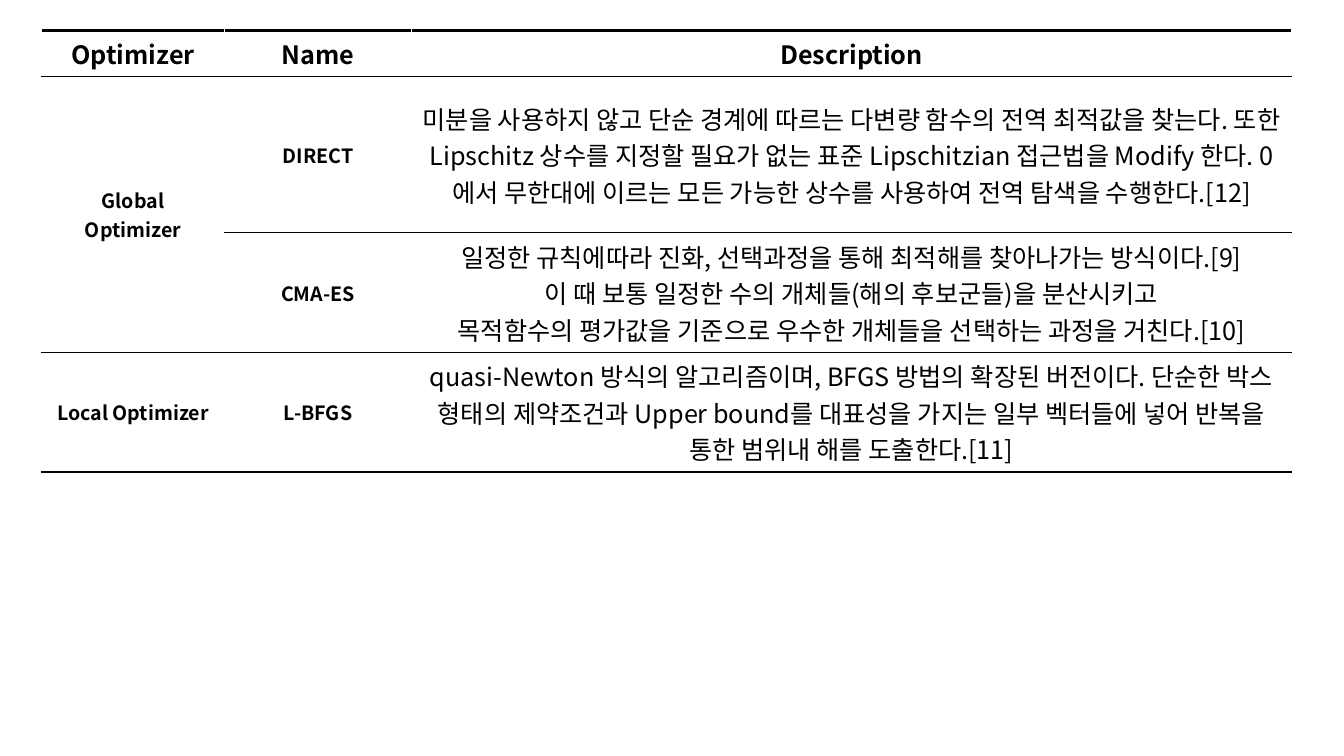
import pptx
import pptx.util
import pptx.dml.color
import pptx.enum.text
import pptx.oxml
import pptx.oxml.ns
import lxml.etree

HEADS = ["Optimizer", "Name", "Description"]
ROWS = [
    ("Global Optimizer", "DIRECT", [
        "미분을 사용하지 않고 단순 경계에 따르는 다변량 함수의 전역 최적값을 찾는다. "
        "또한 Lipschitz 상수를 지정할 필요가 없는 표준 Lipschitzian 접근법을 "
        "Modify 한다. 0에서 무한대에 이르는 모든 가능한 상수를 사용하여 "
        "전역 탐색을 수행한다.[12]"]),
    ("", "CMA-ES", [
        "일정한 규칙에따라 진화, 선택과정을 통해 최적해를 찾아나가는 방식이다.[9]",
        "이 때 보통 일정한 수의 개체들(해의 후보군들)을 분산시키고",
        "목적함수의 평가값을 기준으로 우수한 개체들을 선택하는 과정을 거친다.[10]"]),
    ("Local Optimizer", "L-BFGS", [
        "quasi-Newton 방식의 알고리즘이며, BFGS 방법의 확장된 버전이다. "
        "단순한 박스 형태의 제약조건과 Upper bound를 대표성을 가지는 일부 "
        "벡터들에 넣어 반복을 통한 범위내 해를 도출한다.[11]"]),
]
WIDTHS = [1.82, 1.85, 8.73]
HEIGHTS = [0.41, 0.41, 0.44, 0.41]
COLORS = {"ink": "000000", "paper": "FFFFFF"}
FONT = "Noto Sans CJK KR"
THICK, THIN = 2.25, 1

Inches = pptx.util.Inches


def write(cell, lines, size=18, bold=False):
    """Fill a cell with centred paragraphs."""
    cell.vertical_anchor = pptx.enum.text.MSO_ANCHOR.MIDDLE
    frame = cell.text_frame
    for i, line in enumerate(lines):
        para = frame.add_paragraph() if i else frame.paragraphs[0]
        para.alignment = pptx.enum.text.PP_ALIGN.CENTER
        run = para.add_run()
        run.text = line
        font = run.font
        font.name, font.size, font.bold = FONT, pptx.util.Pt(size), bold
        font.color.rgb = pptx.dml.color.RGBColor.from_string(COLORS["ink"])
        east = lxml.etree.SubElement(run._r.rPr, pptx.oxml.ns.qn("a:ea"))
        east.set("typeface", FONT)


def rule(cell, side, color, width):
    """Draw one border of a cell; side is L, R, T or B."""
    line = pptx.oxml.parse_xml(
        f'<a:ln{side} {pptx.oxml.ns.nsdecls("a")} w="{pptx.util.Pt(width)}">'
        f'<a:solidFill><a:srgbClr val="{COLORS[color]}"/></a:solidFill>'
        f'</a:ln{side}>')
    cell._tc.get_or_add_tcPr().append(line)


def frame(cell, row, col):
    """Set the borders and clear the fill of a cell."""
    last = len(ROWS)
    if col:
        rule(cell, "L", "paper", THIN)
    rule(cell, "R", "paper", THIN)
    rule(cell, "T", "ink", THIN if row else THICK)
    rule(cell, "B", "ink", THICK if row == last else THIN)
    cell.fill.background()


deck = pptx.Presentation()
deck.slide_width, deck.slide_height = Inches(13.33), Inches(7.5)
slide = deck.slides.add_slide(deck.slide_layouts[6])
shape = slide.shapes.add_table(len(ROWS) + 1, len(HEADS), Inches(0.41),
                               Inches(0.3), Inches(12.4), Inches(4.01))
table = shape.table
table.first_row = table.horz_banding = False
for col, width in zip(table.columns, WIDTHS):
    col.width = Inches(width)
for row, height in zip(table.rows, HEIGHTS):
    row.height = Inches(height)
shape.height = Inches(4.01)
table.cell(1, 0).merge(table.cell(2, 0))

for c, head in enumerate(HEADS):
    write(table.cell(0, c), [head], bold=True)
for r, (group, name, about) in enumerate(ROWS, 1):
    if group:
        write(table.cell(r, 0), [group], size=14, bold=True)
    write(table.cell(r, 1), [name], size=14, bold=True)
    write(table.cell(r, 2), about)
for r in range(len(ROWS) + 1):
    for c in range(len(HEADS)):
        frame(table.cell(r, c), r, c)

deck.save("out.pptx")
